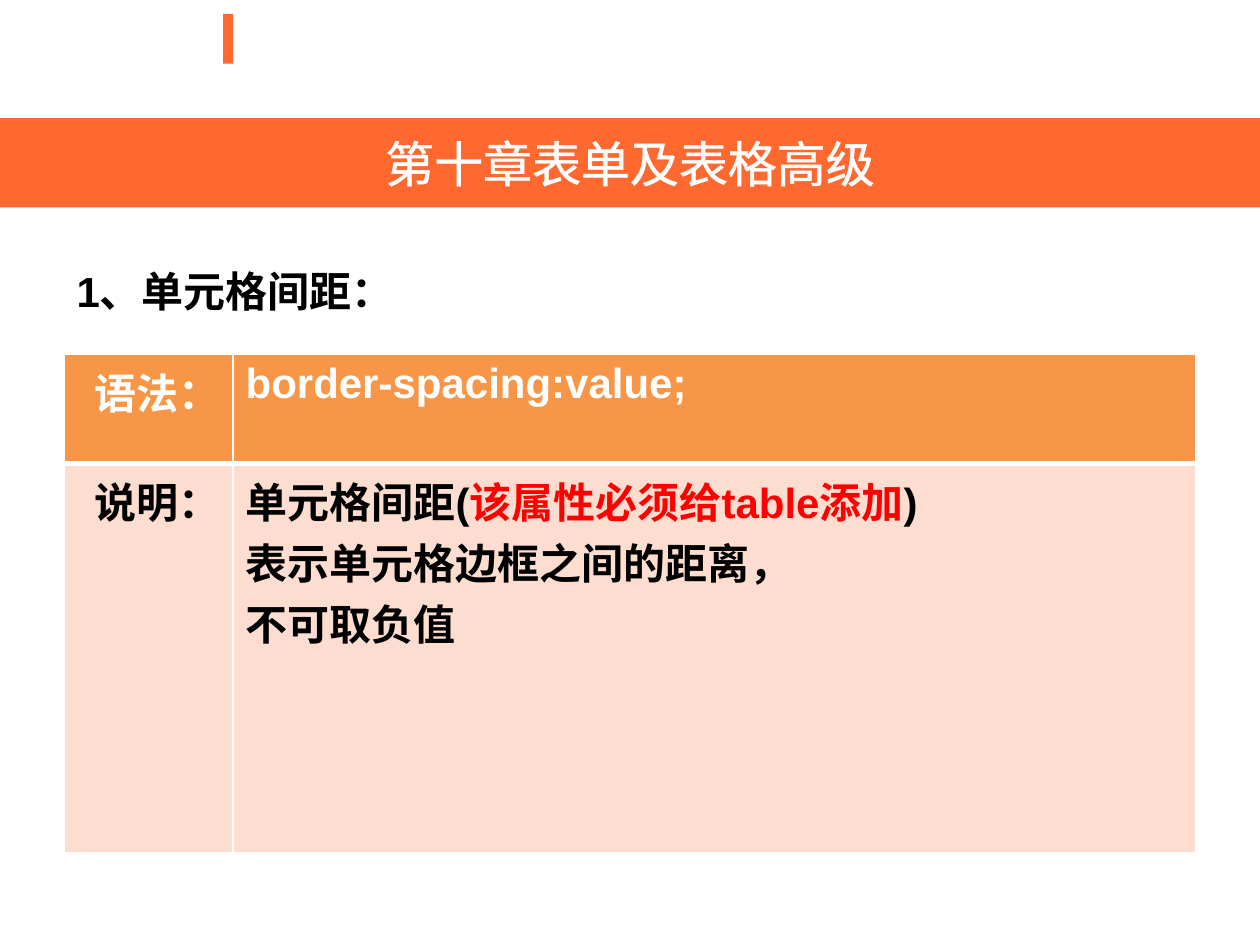
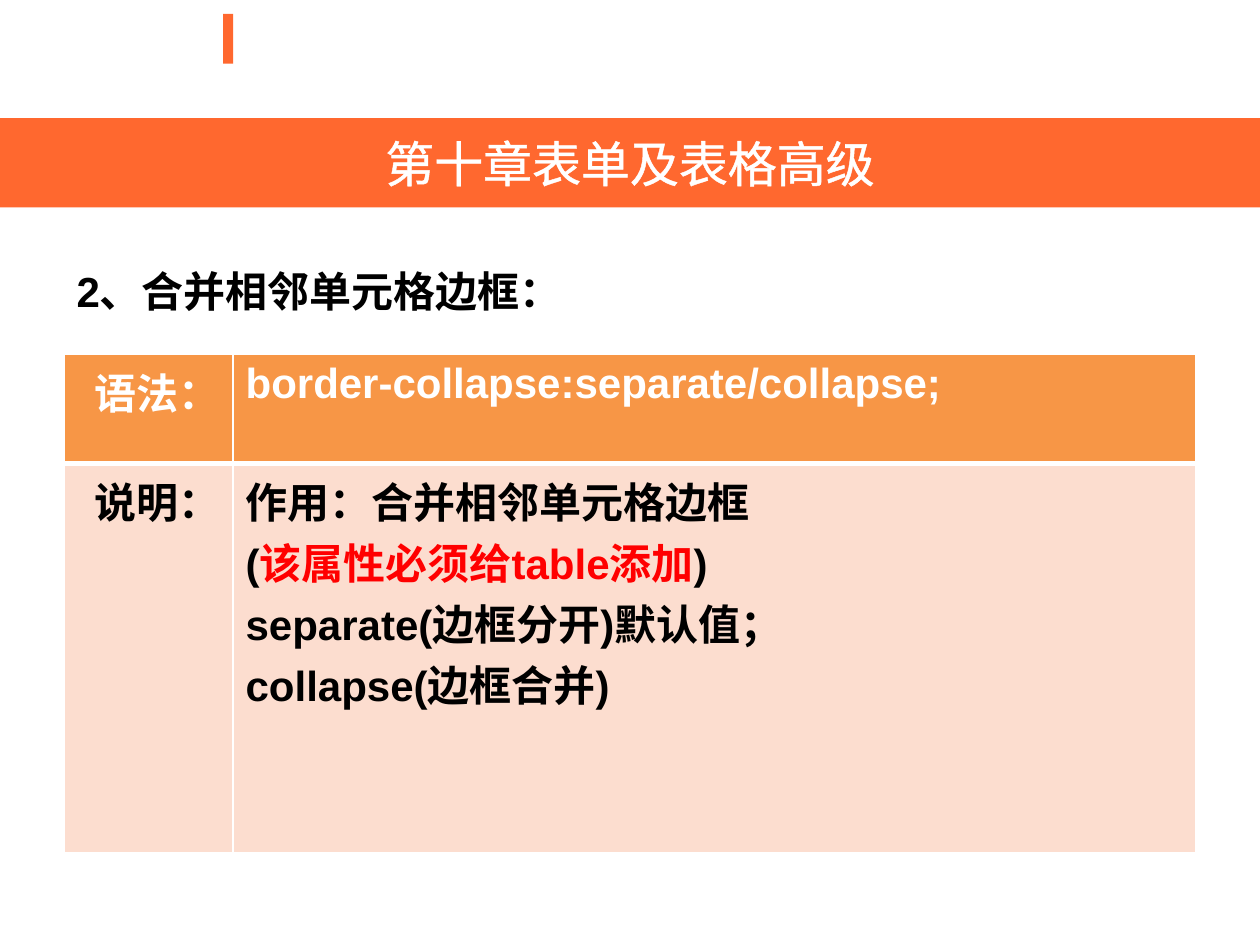
import pptx
import pptx.util
import pptx.dml.color
import pptx.enum.shapes
import pptx.enum.text
import pptx.oxml
import pptx.oxml.ns

Pt = pptx.util.Pt
ALIGN = pptx.enum.text.PP_ALIGN
ANCHOR = pptx.enum.text.MSO_ANCHOR

ORANGE, HEADER, BODY = "FF682F", "F79646", "FCDDCF"
WHITE, BLACK, RED = "FFFFFF", "000000", "FF0000"
CHAPTER = "第十章表单及表格高级"
TITLE = {"size": Pt(28), "name": "Arial"}
TEXT = {"size": Pt(24), "name": "Arial", "bold": True}
TABLE_ONLY = ("该属性必须给table添加", RED)

SLIDES = [
    ("1、单元格间距：", "border-spacing:value;", [
        ["单元格间距(", TABLE_ONLY, ")"],
        ["表示单元格边框之间的距离，"],
        ["不可取负值"],
    ]),
    ("2、合并相邻单元格边框：", "border-collapse:separate/collapse;", [
        ["作用：合并相邻单元格边框"],
        ["(", TABLE_ONLY, ")"],
        ["separate(边框分开)默认值；"],
        ["collapse(边框合并)"],
    ]),
]


def rgb(value):
    return pptx.dml.color.RGBColor.from_string(value)


def line_xml(tag, width, color):
    ns = pptx.oxml.ns.nsdecls("a")
    return pptx.oxml.parse_xml(
        f'<a:{tag} {ns} w="{int(Pt(width))}"><a:solidFill>'
        f'<a:srgbClr val="{color}"/></a:solidFill></a:{tag}>')


class Deck:
    """Holds the presentation, its style and the slide being built."""

    def __init__(self):
        self.prs = pptx.Presentation()
        self.prs.slide_width, self.prs.slide_height = Pt(720), Pt(540)
        self.s = None

    def new_slide(self):
        self.s = self.prs.slides.add_slide(self.prs.slide_layouts[6])
        self.bar(127.44, 7.92, 5.76, 28.44)
        self.title_band()

    def add_text(self, tf, lines, style, color, **layout):
        """Fill tf; each line is a list of strings or (string, colour) pairs."""
        for i, line in enumerate(lines):
            p = tf.paragraphs[0] if i == 0 else tf.add_paragraph()
            for key, value in layout.items():
                setattr(p, key, value)
            for part in line:
                text, run_color = (part, color) if isinstance(part, str) else part
                r = p.add_run()
                r.text = text
                for key, value in style.items():
                    setattr(r.font, key, value)
                r.font.color.rgb = rgb(run_color)

    def bar(self, x, y, w, h):
        sp = self.s.shapes.add_shape(
            pptx.enum.shapes.MSO_SHAPE.RECTANGLE, Pt(x), Pt(y), Pt(w), Pt(h))
        sp.shadow.inherit = False
        sp.fill.solid()
        sp.fill.fore_color.rgb = rgb(ORANGE)
        sp.line.fill.background()
        return sp

    def title_band(self):
        tf = self.bar(0, 67.5, 720, 51).text_frame
        tf.vertical_anchor = ANCHOR.MIDDLE
        self.add_text(tf, [[CHAPTER]], TITLE, WHITE, alignment=ALIGN.CENTER)
        r = tf.paragraphs[0].runs[0]
        r._r.get_or_add_rPr().insert(0, line_xml("ln", 1.45, WHITE))

    def heading(self, text):
        sp = self.s.shapes.add_textbox(Pt(36.72), Pt(151.2), Pt(648), Pt(339.84))
        sp.text_frame.word_wrap = True
        self.add_text(sp.text_frame, [[text]], TEXT, BLACK,
                      space_before=Pt(6), line_spacing=0.9)

    def cell(self, cell, lines, fill, color, align, top, bottom):
        self.add_text(cell.text_frame, lines, TEXT, color, alignment=align)
        cell.fill.solid()
        cell.fill.fore_color.rgb = rgb(fill)
        edges = {"lnL": 1, "lnR": 1, "lnT": top, "lnB": bottom}
        for i, (tag, width) in enumerate(edges.items()):
            cell._tc.tcPr.insert(i, line_xml(tag, width, WHITE))

    def syntax_table(self, syntax, notes):
        table = self.s.shapes.add_table(
            2, 2, Pt(36.72), Pt(202.32), Pt(646.56), Pt(285.12)).table
        for column, width in zip(table.columns, (96.48, 550.08)):
            column.width = Pt(width)
        for row, height in zip(table.rows, (62.64, 222.48)):
            row.height = Pt(height)
        rows = [("语法：", [[syntax]], HEADER, WHITE, 1, 3),
                ("说明：", notes, BODY, BLACK, 3, 1)]
        for i, (label, lines, fill, color, top, bottom) in enumerate(rows):
            self.cell(table.cell(i, 0), [[label]], fill, color, ALIGN.RIGHT, top, bottom)
            self.cell(table.cell(i, 1), lines, fill, color, ALIGN.LEFT, top, bottom)


def main():
    deck = Deck()
    for heading, syntax, notes in SLIDES:
        deck.new_slide()
        deck.heading(heading)
        deck.syntax_table(syntax, notes)
    deck.prs.save("out.pptx")


if __name__ == "__main__":
    main()
